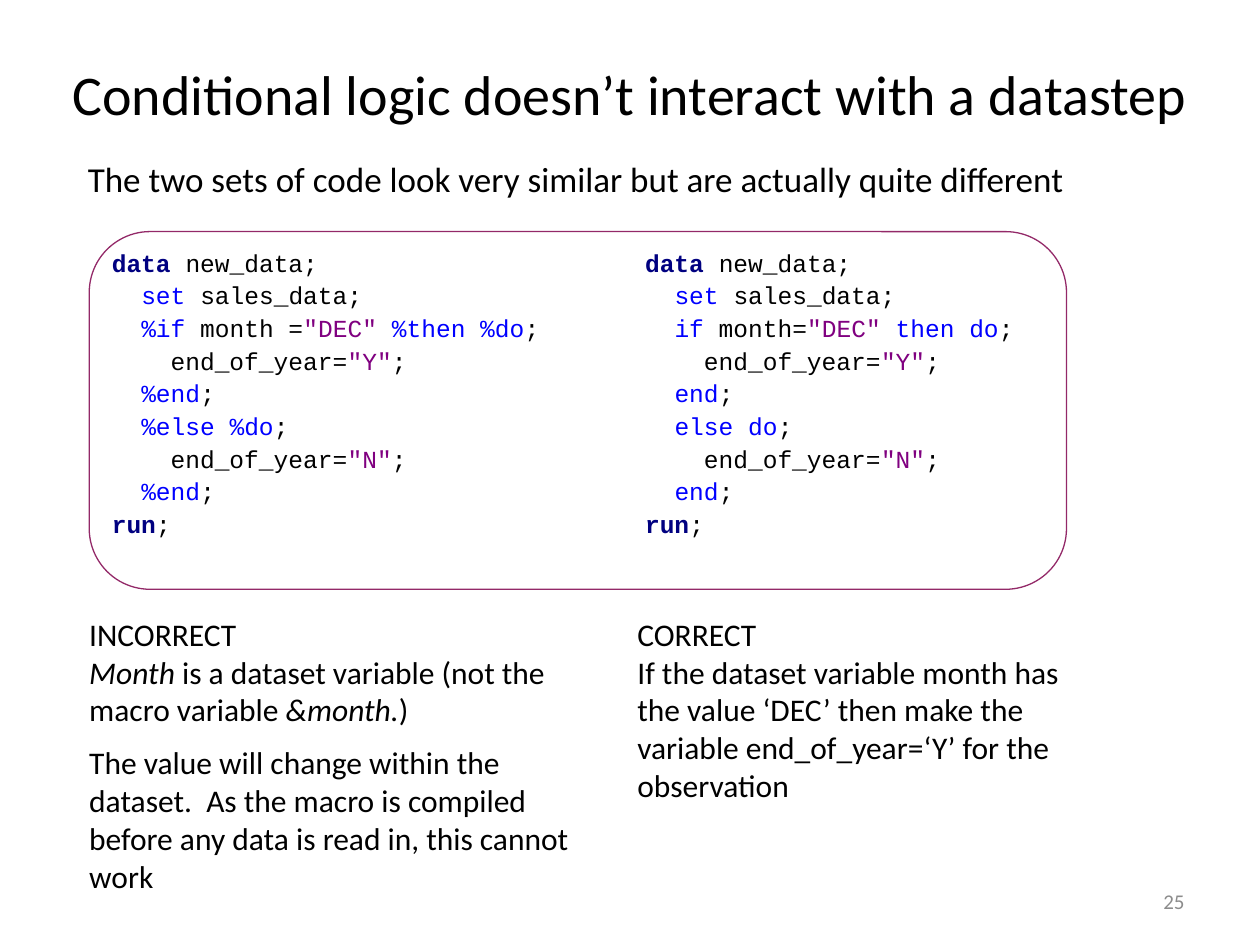
from pptx import Presentation
from pptx.dml.color import RGBColor
from pptx.enum.shapes import MSO_SHAPE
from pptx.enum.text import MSO_ANCHOR as Anchor, MSO_AUTO_SIZE as AutoSize, PP_ALIGN as Align
from pptx.util import Cm, Pt

BODY_FONT, CODE_FONT = "Calibri", "Courier New"
BLACK, GREY, NAVY, BLUE, PURPLE, PLUM = "000000", "8C8C8C", "000080", "0000FF", "800080", "932968"


def color(hex_text):
    return RGBColor.from_string(hex_text)


def write(frame, paragraphs, size, font=BODY_FONT, fill=BLACK, align=Align.LEFT,
          before=None, after=0):
    """Fill a frame; a paragraph is a list of (text, format) runs.

    before maps a paragraph's index to its space before in points.
    """
    for index, runs in enumerate(paragraphs):
        paragraph = frame.paragraphs[0] if index == 0 else frame.add_paragraph()
        paragraph.alignment = align
        paragraph.space_before = Pt((before or {}).get(index, 0))
        paragraph.space_after = Pt(after)
        for text, style in runs:
            run = paragraph.add_run()
            run.text = text
            run.font.name = font
            run.font.size = Pt(size)
            run.font.bold = style.get("bold", False)
            run.font.italic = style.get("italic", False)
            run.font.color.rgb = color(style.get("fill", fill))


def plain(text):
    return text, {}


def italic(text):
    return text, {"italic": True}


def step(text):
    return text, {"fill": NAVY, "bold": True}


def keyword(text):
    return text, {"fill": BLUE}


def string(text):
    return text, {"fill": PURPLE}


def code_lines(mark, equals):
    """Return the datastep, with mark before each conditional keyword."""
    def assignment(value):
        return [plain("    end_of_year="), string(f'"{value}"'), plain(";")]

    def statement(text):
        return [plain("  "), keyword(text), plain(";")]

    return [
        [step("data "), plain("new_data;")],
        [plain("  "), keyword("set "), plain("sales_data;")],
        [plain("  "), keyword(f"{mark}if"), plain(f" month{equals}"), string('"DEC" '),
         keyword(f"{mark}then {mark}do"), plain(";")],
        assignment("Y"),
        statement(f"{mark}end"),
        statement(f"{mark}else {mark}do"),
        assignment("N"),
        statement(f"{mark}end"),
        [step("run"), plain(";")],
    ]


def add_title(slide, text):
    title = slide.shapes.title
    title.left, title.top, title.width, title.height = Cm(0.5), Cm(0.48), Cm(24.4), Cm(2.8)
    frame = title.text_frame
    frame.auto_size = AutoSize.NONE
    frame.vertical_anchor = Anchor.MIDDLE
    write(frame, [[plain(text)]], 32, align=Align.CENTER)


def add_text(slide, box, paragraphs, size, wrap=True, anchor=Anchor.TOP,
             auto_size=AutoSize.SHAPE_TO_FIT_TEXT, **text_format):
    frame = slide.shapes.add_textbox(*map(Cm, box)).text_frame
    frame.word_wrap = wrap
    frame.auto_size = auto_size
    frame.vertical_anchor = anchor
    write(frame, paragraphs, size, **text_format)


def add_code_table(slide, box, versions):
    table = slide.shapes.add_table(1, len(versions), *map(Cm, box)).table
    table.first_row = table.horz_banding = False
    for cell, lines in zip(table.rows[0].cells, versions):
        cell.fill.background()
        write(cell.text_frame, lines, 14, font=CODE_FONT, after=2.8)


def add_code_frame(slide, box):
    shape = slide.shapes.add_shape(MSO_SHAPE.ROUNDED_RECTANGLE, *map(Cm, box))
    shape.adjustments[0] = 0.17
    shape.shadow.inherit = False
    shape.fill.background()
    shape.line.color.rgb = color(PLUM)
    shape.line.width = Pt(0.75)


def main():
    presentation = Presentation()
    presentation.slide_width, presentation.slide_height = Cm(25.4), Cm(19.05)
    slide = presentation.slides.add_slide(presentation.slide_layouts[5])

    add_title(slide, "Conditional logic doesn’t interact with a datastep")
    add_code_table(slide, (2, 4.95, 21.5, 9.07),
                   [code_lines("%", " ="), code_lines("", "=")])
    add_text(slide, (18.2, 17.65, 5.93, 1.02), [[plain("25")]], 12, fill=GREY,
             align=Align.RIGHT, anchor=Anchor.MIDDLE, auto_size=AutoSize.NONE)
    add_code_frame(slide, (1.8, 4.67, 19.7, 7.21))
    add_text(slide, (1.52, 3.05, 21.7, 1.09),
             [[plain("The two sets of code look very similar but are actually quite different")]],
             20, wrap=False)

    incorrect = [
        [plain("INCORRECT")],
        [italic("Month "), plain("is a dataset variable (not the macro variable "),
         italic("&month."), plain(")")],
        [plain("The value will change within the dataset.  As the macro is compiled "
               "before any data is read in, this cannot work")],
    ]
    correct = [
        [plain("CORRECT")],
        [plain("If the dataset variable month has the value ‘DEC’ then make the "
               "variable end_of_year=‘Y’ for the observation")],
    ]
    add_text(slide, (1.55, 12.27, 10.5, 5.9), incorrect, 18, before={2: 8.5})
    add_text(slide, (12.6, 12.27, 9.8, 4.06), correct, 18)

    presentation.save("out.pptx")


if __name__ == "__main__":
    main()
